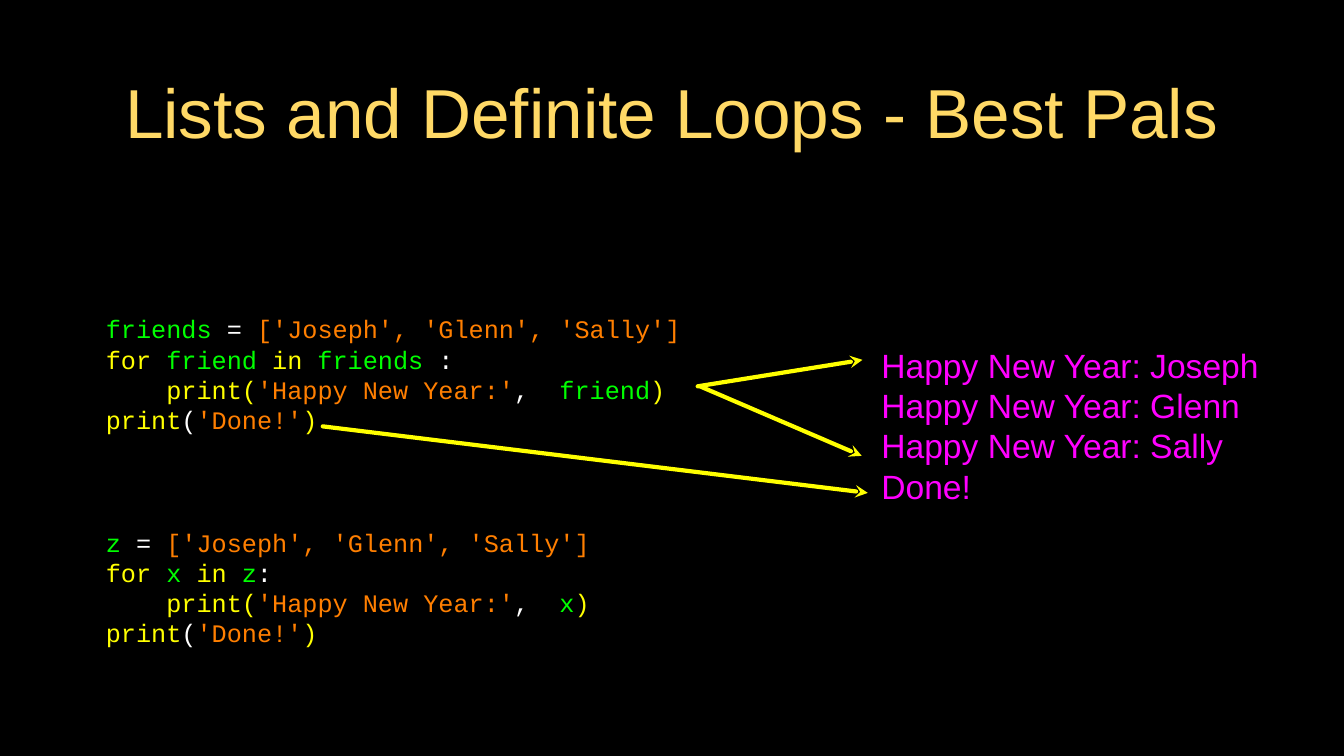
import pptx
import pptx.dml.color
import pptx.enum.shapes
import pptx.enum.text
import pptx.oxml
import pptx.oxml.ns
import pptx.util

PX = 9144  # EMU per px, 100 px to the inch

THEME = {
    "background": "000000",
    "title": {"name": "Arial", "size": pptx.util.Pt(66)},
    "code": {"name": "Courier New", "size": pptx.util.Pt(24)},
    "output": {"name": "Arial", "size": pptx.util.Pt(32)},
    "gold": "FFD966",
    "name": "00FF00",
    "plain": "FFFFFF",
    "literal": "FF7F00",
    "keyword": "FFFF00",
    "result": "FF00FF",
    "arrow": "FFFF00",
    "arrow_width": pptx.util.Pt(4),
}


def rgb(color):
    return pptx.dml.color.RGBColor.from_string(THEME[color])


def add_text(box, lines, font, margin=0, alignment=pptx.enum.text.PP_ALIGN.LEFT):
    """Add a text box whose lines are lists of (text, theme colour) runs."""
    shape = slide.shapes.add_textbox(*(value * PX for value in box))
    frame_format = {
        "word_wrap": True,
        "vertical_anchor": pptx.enum.text.MSO_ANCHOR.MIDDLE,
        **{f"margin_{side}": margin * PX for side in ("left", "top", "right", "bottom")},
    }
    for attribute, value in frame_format.items():
        setattr(shape.text_frame, attribute, value)
    for index, line in enumerate(lines):
        paragraphs = shape.text_frame.paragraphs
        paragraph = paragraphs[0] if index == 0 else shape.text_frame.add_paragraph()
        paragraph.alignment = alignment
        for text, color in line:
            run = paragraph.add_run()
            run.text = text
            for attribute, value in THEME[font].items():
                setattr(run.font, attribute, value)
            run.font.color.rgb = rgb(color)


presentation = pptx.Presentation()
presentation.slide_width = 1778 * PX
presentation.slide_height = 1000 * PX
slide = presentation.slides.add_slide(presentation.slide_layouts[6])
slide.background.fill.solid()
slide.background.fill.fore_color.rgb = rgb("background")

# Title
add_text((89, 86, 1600, 121), [[("Lists and Definite Loops - Best Pals", "gold")]],
         "title", margin=4, alignment=pptx.enum.text.PP_ALIGN.CENTER)

# The same program twice, with long and with short variable names
for top, list_name, item, gap in ((374, "friends", "friend", " "), (656, "z", "x", "")):
    program = [
        [(list_name, "name"), (" = ", "plain"), ("['Joseph', 'Glenn', 'Sally']", "literal")],
        [("for ", "keyword"), (item + " ", "name"), ("in ", "keyword"),
         (list_name + gap, "name"), (":", "plain")],
        [("    print(", "keyword"), ("'Happy New Year:'", "literal"), (",  ", "plain"),
         (item, "name"), (")", "keyword")],
        [("print", "keyword"), ("(", "plain"), ("'Done!'", "literal"), (")", "keyword")],
    ]
    add_text((140, top, 796, 242), program, "code")

# Output
greetings = [f"Happy New Year: {friend}" for friend in ("Joseph", "Glenn", "Sally")]
add_text((1166, 443, 541, 239), [[(text, "result")] for text in greetings + ["Done!"]], "output")

# Arrows, each with its head at the output end
for output_end, code_end in (
    ((1141, 476), (923, 511)),
    ((1140, 603), (926, 511)),
    ((1148, 652), (427, 564)),
):
    arrow = slide.shapes.add_connector(
        pptx.enum.shapes.MSO_CONNECTOR.STRAIGHT,
        *(value * PX for value in output_end + code_end))
    arrow.line.color.rgb = rgb("arrow")
    arrow.line.width = THEME["arrow_width"]
    line = arrow.line._get_or_add_ln()
    line.set("cap", "rnd")
    line.append(pptx.oxml.parse_xml(
        f'<a:headEnd {pptx.oxml.ns.nsdecls("a")} type="stealth"/>'))
    arrow._element.spPr.append(pptx.oxml.parse_xml(
        f'<a:effectLst {pptx.oxml.ns.nsdecls("a")}/>'))

presentation.save("out.pptx")
